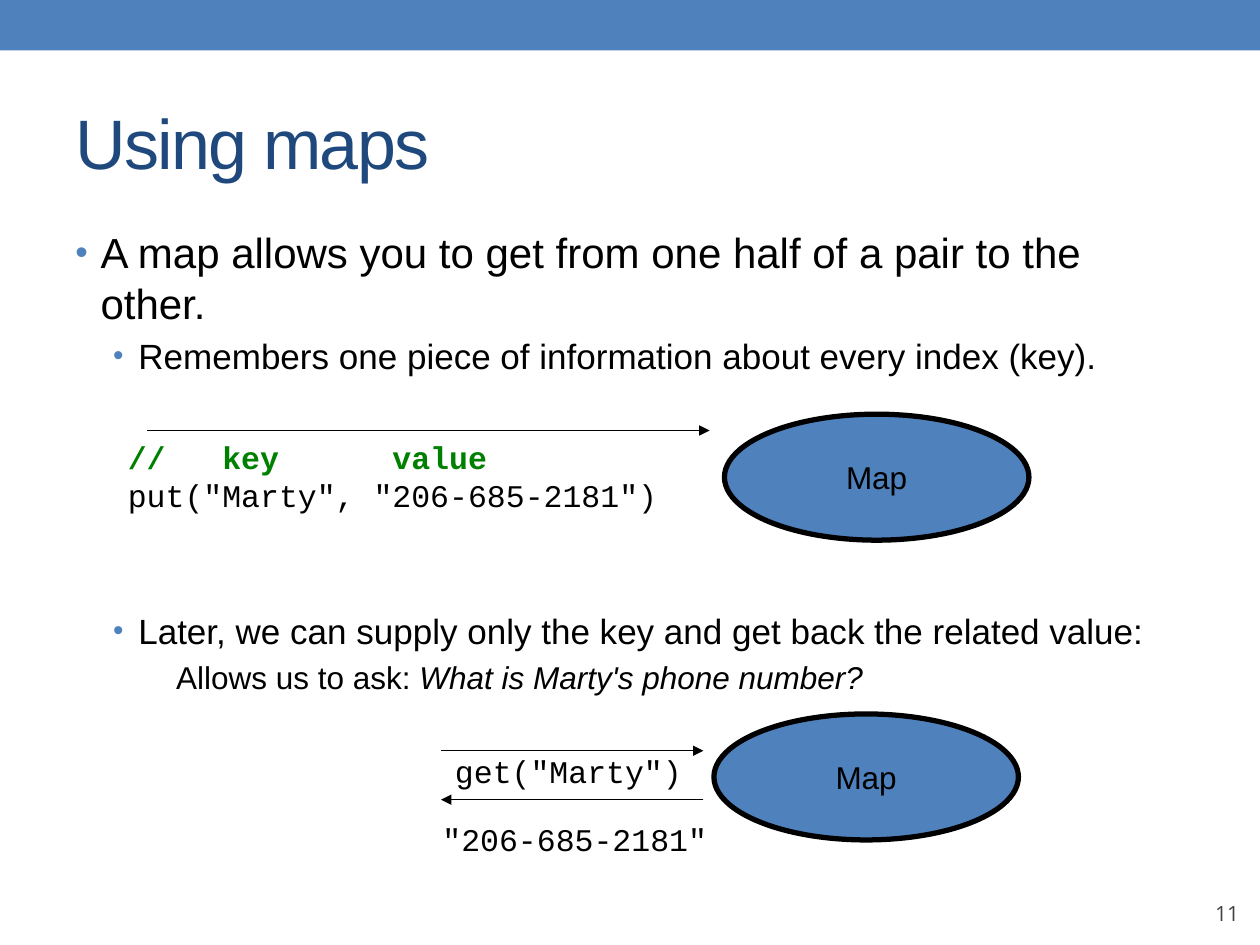
from lxml import etree
from pptx import Presentation
from pptx import util as u
from pptx.dml.color import RGBColor
from pptx.enum import shapes, text
from pptx.oxml.ns import qn

BLUE, NAVY, BLACK, GREEN, GREY = "4F81BD", "1F497D", "000000", "008000", "424242"
LEFT, RIGHT, CENTER = text.PP_ALIGN.LEFT, text.PP_ALIGN.RIGHT, text.PP_ALIGN.CENTER
TOP, MIDDLE, BOTTOM = text.MSO_ANCHOR.TOP, text.MSO_ANCHOR.MIDDLE, text.MSO_ANCHOR.BOTTOM


def color(value):
    return RGBColor.from_string(value)


def points(*values):
    return [u.Pt(value) for value in values]


def add_xml(parent, tag, **attributes):
    return etree.SubElement(parent, qn(tag), attributes)


class MapSlide:
    """Draws the elements of one slide in a shared style."""

    def __init__(self, deck):
        self.slide = deck.slides.add_slide(deck.slide_layouts[5])
        self.shapes = self.slide.shapes

    def run(self, paragraph, words, size=18, font="Arial", fill=BLACK, **style):
        run = paragraph.add_run()
        run.text = words
        values = {"size": u.Pt(size), "name": font, **style}
        for name, value in values.items():
            setattr(run.font, name, value)
        run.font.color.rgb = color(fill)
        return run

    def title(self, words, box):
        title = self.shapes.title
        title.left, title.top, title.width, title.height = points(*box)
        title.text_frame.vertical_anchor = MIDDLE
        paragraph = title.text_frame.paragraphs[0]
        paragraph.alignment = LEFT
        run = self.run(paragraph, words, 40, fill=NAVY)
        run.font._element.set("spc", "-100")

    def frame(self, box, wrap=True, anchor=TOP, inset=True):
        frame = self.shapes.add_textbox(*points(*box)).text_frame
        frame.word_wrap, frame.vertical_anchor = wrap, anchor
        if not inset:
            for side in ("left", "top", "right", "bottom"):
                setattr(frame, "margin_" + side, 0)
        return frame

    def label(self, words, box, align=RIGHT, **style):
        frame = self.frame(box, wrap=False)
        frame.paragraphs[0].alignment = align
        self.run(frame.paragraphs[0], words, font="Courier New", **style)
        return frame

    def item(self, paragraph, runs, size, indent, before, bullet=True):
        paragraph.space_before = u.Pt(before)
        props = paragraph._p.get_or_add_pPr()
        props.set("marL", str(u.Pt(indent)))
        props.set("indent", str(u.Pt(-14.4 if bullet else 0)))
        if bullet:
            add_xml(add_xml(props, "a:buClr"), "a:srgbClr", val=BLUE)
            add_xml(props, "a:buSzPct", val="85000")
            add_xml(props, "a:buFont", typeface="Arial")
            add_xml(props, "a:buChar", char="•")
        for words, style in runs:
            self.run(paragraph, words, size, **style)

    def shape(self, kind, box, border=None):
        shape = self.shapes.add_shape(kind, *points(*box))
        shape.shadow.inherit = False
        shape.fill.solid()
        shape.fill.fore_color.rgb = color(BLUE)
        if border:
            shape.line.color.rgb = color(BLACK)
            shape.line.width = u.Pt(border)
        else:
            shape.line.fill.background()
        return shape

    def map_oval(self, left, top):
        oval = self.shape(shapes.MSO_SHAPE.OVAL, (left, top, 174, 72), 3)
        frame = oval.text_frame
        frame.word_wrap, frame.vertical_anchor = False, MIDDLE
        frame.paragraphs[0].alignment = CENTER
        self.run(frame.paragraphs[0], "Map")

    def arrow(self, start, end, y):
        line = self.shapes.add_connector(
            shapes.MSO_CONNECTOR.STRAIGHT, *points(start, y, end, y))
        line.line.color.rgb = color(BLACK)
        line.line.width = u.Pt(0.75)
        add_xml(line.line._get_or_add_ln(), "a:tailEnd", type="triangle")
        add_xml(line._element.spPr, "a:effectLst")


deck = Presentation()
deck.slide_width, deck.slide_height = points(720, 540)
page = MapSlide(deck)

page.shape(shapes.MSO_SHAPE.RECTANGLE, (0, 0, 720, 28.8))
page.title("Using maps", (36, 42, 648, 78))

number = page.frame((648, 500.4, 60, 28.8), anchor=BOTTOM, inset=False)
number.paragraphs[0].alignment = RIGHT
page.run(number.paragraphs[0], "11", 12, "Open Sans", GREY)

body = page.frame((36, 126, 648, 384))
items = [
    ([("A map allows you to get from one half of a pair to the other.", {})],
     24, 14.4, 4.8, True),
    ([("Remembers one piece of information about every index (key).", {})],
     20, 36, 4, True),
    ([("Later, we can supply only the key and get back the related value:", {})],
     20, 36, 133, True),
    ([("Allows us to ask: ", {}), ("What is Marty's phone number?", {"italic": True})],
     18, 57.6, 3.6, False),
]
for index, item in enumerate(items):
    page.item(body.add_paragraph() if index else body.paragraphs[0], *item)

page.map_oval(414, 236.7)
page.arrow(84, 405.5, 246)
call = page.label("//\tkey\tvalue", (66, 247, 318, 51), LEFT, fill=GREEN, bold=True)
tabs = add_xml(call.paragraphs[0]._p.get_or_add_pPr(), "a:tabLst")
for column in (5, 14):
    add_xml(tabs, "a:tab", pos=str(u.Pt(10.8 * column)), algn="l")
page.run(call.add_paragraph(), 'put("Marty", "206-685-2181")', font="Courier New")

page.map_oval(408, 408)
page.arrow(252, 402, 429)
page.label('get("Marty")', (252, 426.2, 144.7, 28.8))
page.arrow(402, 252, 457)
page.label('"206-685-2181"', (244.8, 465, 166.3, 28.8))

deck.save("out.pptx")
